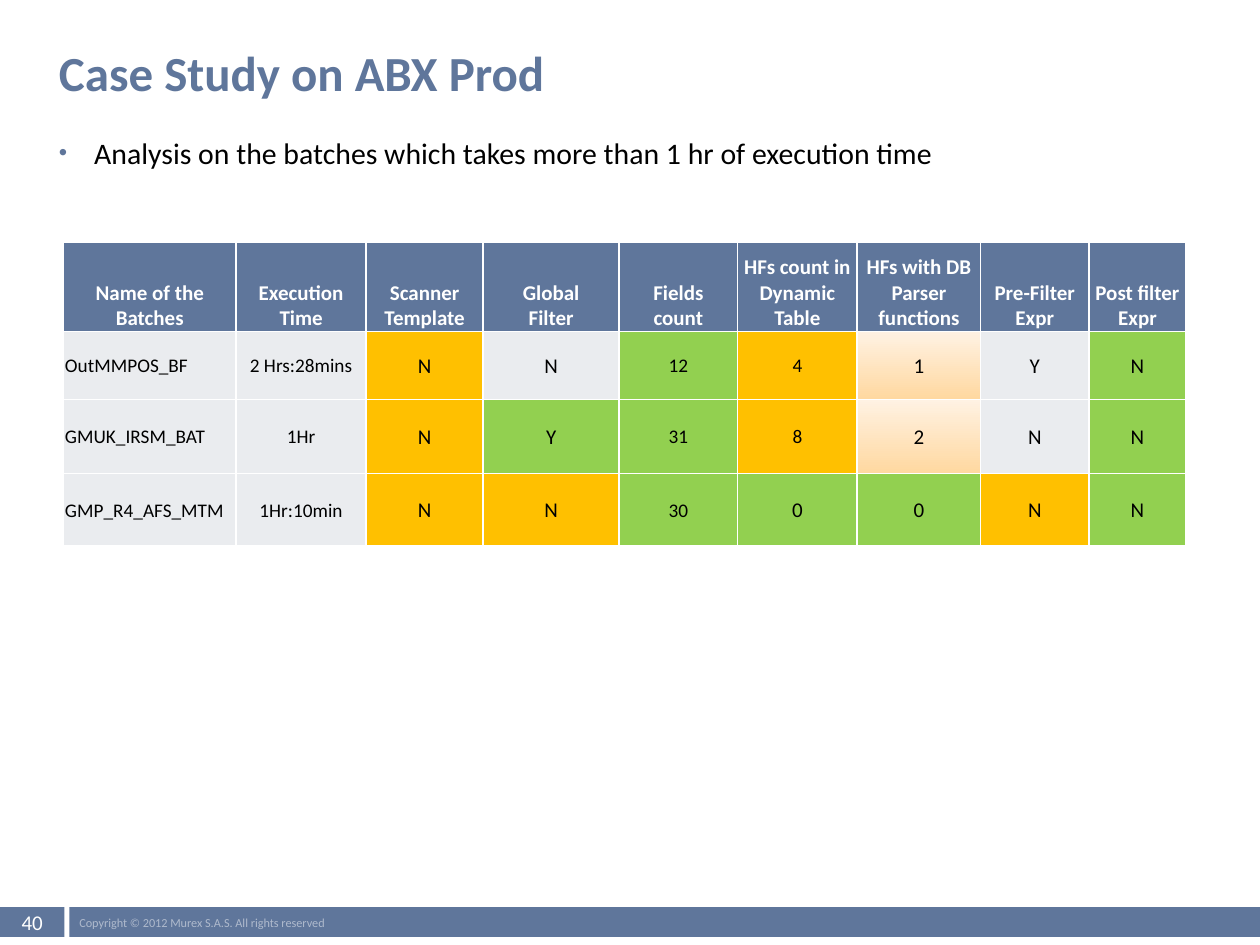
from lxml import etree
from pptx import Presentation
from pptx.dml.color import RGBColor
from pptx.enum import shapes, text
from pptx.oxml import ns
from pptx.util import Cm, Pt

FONT = "Calibri"
BLUE = RGBColor(0x5F, 0x76, 0x9B)
PALE_BLUE = RGBColor(0xAF, 0xBA, 0xCD)
WHITE = RGBColor(0xFF, 0xFF, 0xFF)
BLACK = RGBColor(0x00, 0x00, 0x00)
GREY = RGBColor(0xEA, 0xEC, 0xEF)
AMBER = RGBColor(0xFF, 0xC0, 0x00)
GREEN = RGBColor(0x92, 0xD0, 0x50)
PEACH = RGBColor(0xFF, 0xD8, 0xA0)
PALE_PEACH = RGBColor(0xFF, 0xF2, 0xE3)

# Fill codes: one letter for each cell of a batch row
FILLS = {"-": GREY, "A": AMBER, "G": GREEN}
GRADIENT = "P"

HEADERS = ["Name of the Batches", "Execution Time", "Scanner Template",
           "Global\nFilter", "Fields\ncount", "HFs count in Dynamic Table",
           "HFs with DB Parser functions", "Pre-Filter\nExpr", "Post filter Expr"]
BATCHES = [
    (["OutMMPOS_BF", "2 Hrs:28mins", "N", "N", "12", "4", "1", "Y", "N"], "--A-GAP-G"),
    (["GMUK_IRSM_BAT", "1Hr", "N", "Y", "31", "8", "2", "N", "N"], "--AGGAP-G"),
    (["GMP_R4_AFS_MTM", "1Hr:10min", "N", "N", "30", "0", "0", "N", "N"], "--AAGGGAG"),
]
COLUMN_WIDTHS = [3.48, 2.62, 2.36, 2.74, 2.39, 2.41, 2.49, 2.18, 1.96]
ROW_HEIGHTS = [1.8, 1.37, 1.5, 1.45]
SMALL_COLUMNS = (0, 1, 4)


def format_text(text_frame, size, color, bold=False, align=text.PP_ALIGN.LEFT):
    for paragraph in text_frame.paragraphs:
        paragraph.alignment = align
        for run in paragraph.runs:
            run.font.name = FONT
            run.font.size = Pt(size)
            run.font.bold = bold
            run.font.color.rgb = color


def set_margins(target, side, top=0):
    target.margin_left = target.margin_right = Cm(side)
    target.margin_top = Cm(top)
    target.margin_bottom = 0


def add_text(slide, words, left, top, width, height, size, color, bold=False):
    box = slide.shapes.add_textbox(Cm(left), Cm(top), Cm(width), Cm(height))
    text_frame = box.text_frame
    text_frame.word_wrap = True
    set_margins(text_frame, 0.1)
    text_frame.text = words
    format_text(text_frame, size, color, bold)
    return text_frame.paragraphs[0]


def add_bullet(paragraph):
    properties = paragraph._p.get_or_add_pPr()
    properties.set("marL", str(Cm(0.71)))
    properties.set("indent", str(-Cm(0.71)))
    color = etree.SubElement(properties, ns.qn("a:buClr"))
    etree.SubElement(color, ns.qn("a:srgbClr"), val=str(BLUE))
    etree.SubElement(properties, ns.qn("a:buSzPct"), val="80000")
    etree.SubElement(properties, ns.qn("a:buFont"), typeface="Arial")
    etree.SubElement(properties, ns.qn("a:buChar"), char="•")


def add_footer_bar(slide, words, left, width, size, color, align):
    bar = slide.shapes.add_shape(shapes.MSO_SHAPE.RECTANGLE,
                                 Cm(left), Cm(18.29), Cm(width), Cm(0.6))
    bar.shadow.inherit = False
    bar.fill.solid()
    bar.fill.fore_color.rgb = BLUE
    bar.line.fill.background()
    text_frame = bar.text_frame
    text_frame.word_wrap = True
    text_frame.vertical_anchor = text.MSO_ANCHOR.MIDDLE
    set_margins(text_frame, 0.2)
    text_frame.text = words
    format_text(text_frame, size, color, align=align)


def add_borders(cell):
    properties = cell._tc.get_or_add_tcPr()
    for position, side in enumerate(("a:lnL", "a:lnR", "a:lnT", "a:lnB")):
        line = etree.Element(ns.qn(side), w=str(Pt(1)))
        fill = etree.SubElement(line, ns.qn("a:solidFill"))
        etree.SubElement(fill, ns.qn("a:srgbClr"), val=str(WHITE))
        properties.insert(position, line)


def fill_cell(cell, fill):
    if fill == GRADIENT:
        cell.fill.gradient()
        cell.fill.gradient_angle = 90
        for stop, color in zip(cell.fill.gradient_stops, (PEACH, PALE_PEACH)):
            stop.color.rgb = color
    else:
        cell.fill.solid()
        cell.fill.fore_color.rgb = fill


def set_cell(cell, words, fill, anchor, size, color, bold, align):
    cell.text_frame.text = words
    cell.vertical_anchor = anchor
    set_margins(cell, 0.03, 0.03)
    format_text(cell.text_frame, size, color, bold, align)
    fill_cell(cell, fill)
    add_borders(cell)


def add_batch_table(slide):
    table = slide.shapes.add_table(
        len(ROW_HEIGHTS), len(COLUMN_WIDTHS), Cm(1.28), Cm(4.88),
        Cm(sum(COLUMN_WIDTHS)), Cm(sum(ROW_HEIGHTS))).table
    for column, width in zip(table.columns, COLUMN_WIDTHS):
        column.width = Cm(width)
    for row, height in zip(table.rows, ROW_HEIGHTS):
        row.height = Cm(height)

    # Header row
    for column, words in enumerate(HEADERS):
        set_cell(table.cell(0, column), words, BLUE, text.MSO_ANCHOR.BOTTOM,
                 12, WHITE, True, text.PP_ALIGN.CENTER)

    # Batch rows
    for row, (values, codes) in enumerate(BATCHES, start=1):
        for column, (words, code) in enumerate(zip(values, codes)):
            small = column in SMALL_COLUMNS or words in ("4", "8")
            align = text.PP_ALIGN.CENTER if column else text.PP_ALIGN.LEFT
            set_cell(table.cell(row, column), words, FILLS.get(code, code),
                     text.MSO_ANCHOR.MIDDLE, 11 if small else 12, BLACK, False, align)


def main():
    presentation = Presentation()
    presentation.slide_width = Cm(25.4)
    presentation.slide_height = Cm(19.05)
    slide = presentation.slides.add_slide(presentation.slide_layouts[6])

    # Footer
    add_footer_bar(slide, "Copyright © 2012 Murex S.A.S. All rights reserved",
                   1.4, 24, 7, PALE_BLUE, text.PP_ALIGN.LEFT)
    add_footer_bar(slide, "40", 0, 1.3, 12, WHITE, text.PP_ALIGN.CENTER)

    # Title and body
    add_text(slide, "Case Study on ABX Prod", 1.09, 0.86, 17.81, 1.47, 28, BLUE, True)
    body = add_text(slide, "Analysis on the batches which takes more than 1 hr of execution time",
                    1.09, 2.72, 23.6, 14.3, 17, BLACK)
    add_bullet(body)

    # Batch comparison
    add_batch_table(slide)
    presentation.save("out.pptx")


if __name__ == "__main__":
    main()
